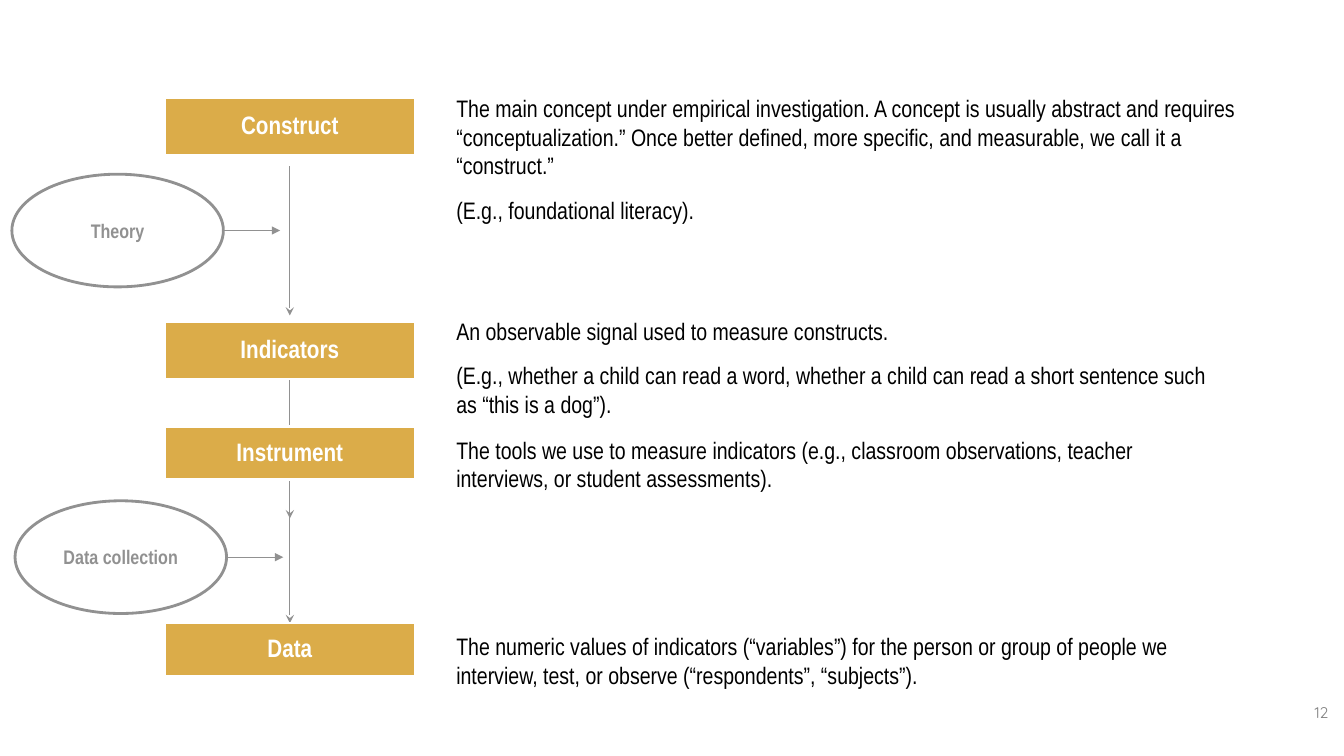
from lxml import etree
from pptx import Presentation
from pptx import util as u
from pptx.dml.color import RGBColor
from pptx.enum import shapes, text
from pptx.oxml import ns

GOLD, GREY, WHITE, BLACK = "DBAC49", "919191", "FFFFFF", "000000"
NARROW = "Arial Narrow"

BOX_LEFT, BOX_WIDTH = 4.14, 6.33
NOTE_LEFT = 11.25

# Name, box top, box height, note top, note width, note paragraphs
STAGES = [
    ("Construct", 2.46, 1.47, 2.24, 20.3, [
        "The main concept under empirical investigation. A concept is usually abstract "
        "and requires “conceptualization.” Once better defined, more specific, and "
        "measurable, we call it a “construct.”",
        "(E.g., foundational literacy).",
    ]),
    ("Indicators", 8.1, 1.45, 7.85, 19.63, [
        "An observable signal used to measure constructs.",
        "(E.g., whether a child can read a word, whether a child can read a short "
        "sentence such as “this is a dog”).",
    ]),
    ("Instrument", 10.74, 1.35, 10.85, 19.63, [
        "The tools we use to measure indicators (e.g., classroom observations, teacher "
        "interviews, or student assessments).",
    ]),
    ("Data", 15.7, 1.35, 15.8, 19.63, [
        "The numeric values of indicators (“variables”) for the person or group of "
        "people we interview, test, or observe (“respondents”, “subjects”).",
    ]),
]
# Start and end of each downward arrow
FLOWS = [(4.19, 7.95), (9.55, 13.06), (12.19, 15.7)]
# Name, left, top
INPUTS = [("Theory", 0.3, 4.39), ("Data collection", 0.38, 12.62)]


def colour(value):
    return RGBColor.from_string(value)


def add_span(para, words, size, fill, font=NARROW, bold=False):
    span = para.add_run()
    span.text = words
    span.font.size = u.Pt(size)
    span.font.name = font
    span.font.bold = bold
    span.font.color.rgb = colour(fill)


def add_arrow(page, x1, y1, x2, y2, head):
    arrow = page.shapes.add_connector(
        shapes.MSO_CONNECTOR.STRAIGHT, u.Cm(x1), u.Cm(y1), u.Cm(x2), u.Cm(y2))
    arrow.line.color.rgb = colour(GREY)
    arrow.line.width = u.Pt(0.75)
    etree.SubElement(arrow.line._get_or_add_ln(), ns.qn("a:tailEnd"), type=head)
    etree.SubElement(arrow._element.spPr, ns.qn("a:effectLst"))


def add_label_shape(page, kind, left, top, width, height, line, inset):
    shape = page.shapes.add_shape(
        kind, u.Cm(left), u.Cm(top), u.Cm(width), u.Cm(height))
    shape.shadow.inherit = False
    shape.line.color.rgb = colour(line)
    shape.line.width = u.Pt(2)
    frame = shape.text_frame
    frame.word_wrap = True
    frame.vertical_anchor = text.MSO_ANCHOR.MIDDLE
    frame.margin_left = frame.margin_right = u.Cm(inset)
    frame.margin_top = frame.margin_bottom = u.Cm(inset)
    para = frame.paragraphs[0]
    para.alignment = text.PP_ALIGN.CENTER
    return shape, para


def add_text_box(page, left, top, width, height):
    box = page.shapes.add_textbox(u.Cm(left), u.Cm(top), u.Cm(width), u.Cm(height))
    box.text_frame.word_wrap = True
    return box.text_frame


def add_stage(page, name, top, height):
    box, para = add_label_shape(page, shapes.MSO_SHAPE.RECTANGLE,
                                BOX_LEFT, top, BOX_WIDTH, height, WHITE, 0.3)
    box.fill.solid()
    box.fill.fore_color.rgb = colour(GOLD)
    para.line_spacing = 0.9
    add_span(para, name, 18, WHITE, bold=True)


def add_note(page, top, width, paragraphs):
    frame = add_text_box(page, NOTE_LEFT, top, width, 2.67)
    for index, words in enumerate(paragraphs):
        para = frame.add_paragraph() if index else frame.paragraphs[0]
        if index:
            para.space_before = u.Pt(11.2)
        add_span(para, words, 17, BLACK)


def add_input(page, name, left, top, width=5.33, height=2.84, reach=1.43):
    oval, para = add_label_shape(page, shapes.MSO_SHAPE.OVAL,
                                 left, top, width, height, GREY, 0)
    oval.fill.background()
    add_span(para, name, 14, GREY, bold=True)
    right, middle = left + width, top + height / 2
    add_arrow(page, right, middle, right + reach, middle, "triangle")


def add_page_number(page, number):
    para = add_text_box(page, 31.7, 17.6, 2.03, 1.45).paragraphs[0]
    para.alignment = text.PP_ALIGN.RIGHT
    add_span(para, number, 11, "7F7F7F", font="Quicksand")


def main():
    deck = Presentation()
    deck.slide_width, deck.slide_height = u.Cm(33.87), u.Cm(19.05)
    page = deck.slides.add_slide(deck.slide_layouts[6])

    # Downward flow, behind the stage boxes
    centre = BOX_LEFT + BOX_WIDTH / 2
    for start, end in FLOWS:
        add_arrow(page, centre, start, centre, end, "stealth")

    # Stages with their explanations
    for name, top, height, note_top, note_width, paragraphs in STAGES:
        add_stage(page, name, top, height)
        add_note(page, note_top, note_width, paragraphs)

    # Inputs feeding the flow from the left
    for name, left, top in INPUTS:
        add_input(page, name, left, top)

    add_page_number(page, "12")
    deck.save("out.pptx")


if __name__ == "__main__":
    main()
